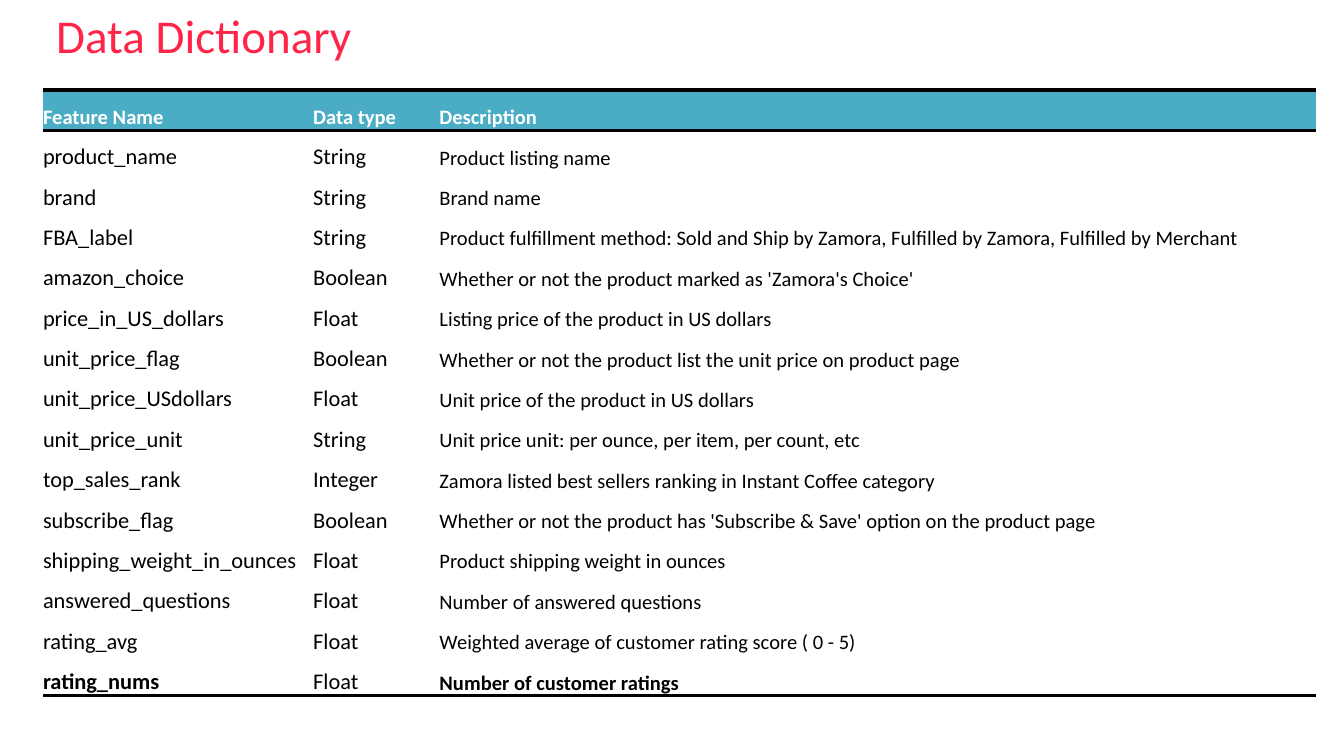
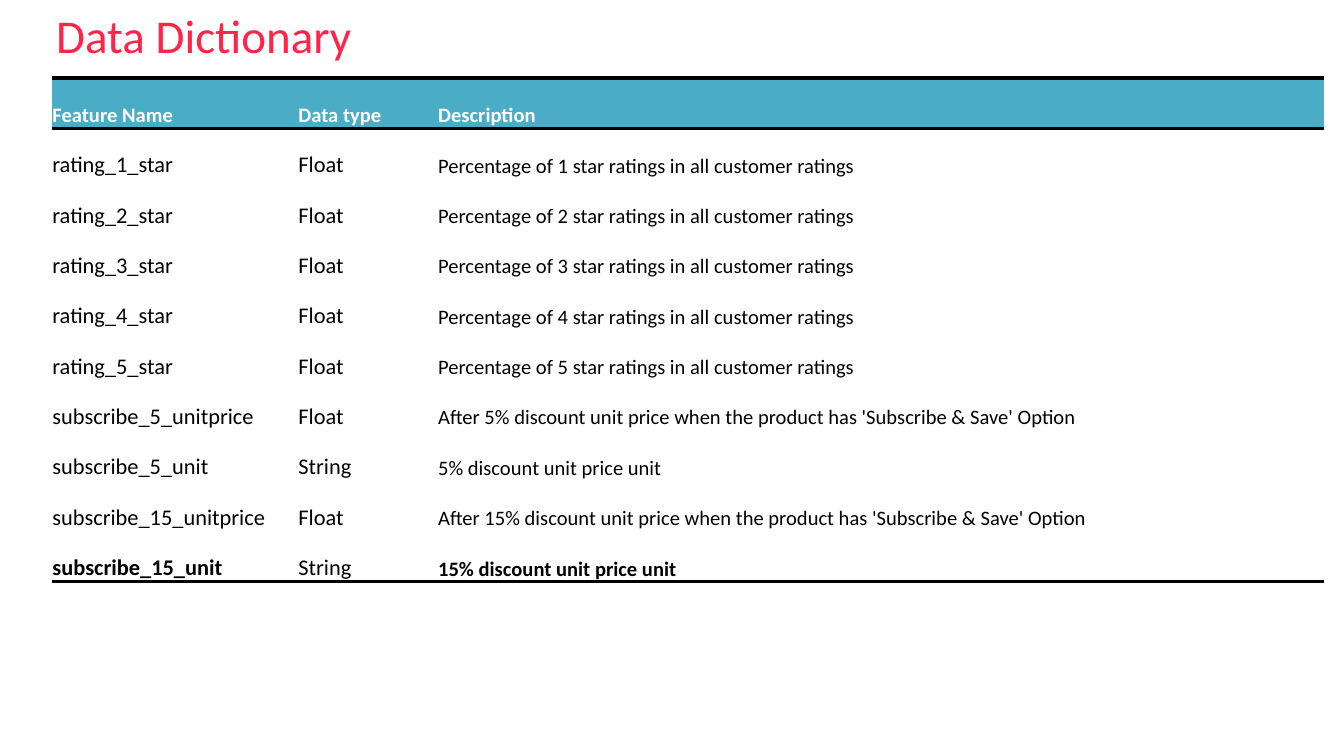
from dataclasses import dataclass

from lxml import etree
from pptx import Presentation
from pptx.dml.color import RGBColor
from pptx.enum import text as te
from pptx.oxml import ns
from pptx.util import Inches, Pt

TITLE_RED = RGBColor(0xFF, 0x25, 0x49)
HEADER_TEAL = RGBColor(0x4B, 0xAC, 0xC6)
WHITE = RGBColor(0xFF, 0xFF, 0xFF)
BLACK = RGBColor(0, 0, 0)
FONT = "Calibri"
PLAIN_STYLE = "{2D5ABB26-0587-4C30-8999-92F81FD0307C}"  # no style, no grid
HEADINGS = ("Feature Name", "Data type", "Description")
BODY_SIZES = (12, 12, 11)


@dataclass(frozen=True)
class Dictionary:
    left: float
    top: float
    height: float
    widths: tuple[float, ...]
    features: list[tuple[str, str, str]]


PRODUCT_FEATURES = [
    ("product_name", "String", "Product listing name"),
    ("brand", "String", "Brand name"),
    ("FBA_label", "String",
     "Product fulfillment method: Sold and Ship by Zamora, Fulfilled by Zamora, Fulfilled by Merchant"),
    ("amazon_choice", "Boolean", "Whether or not the product marked as 'Zamora's Choice'"),
    ("price_in_US_dollars", "Float", "Listing price of the product in US dollars"),
    ("unit_price_flag", "Boolean", "Whether or not the product list the unit price on product page"),
    ("unit_price_USdollars", "Float", "Unit price of the product in US dollars"),
    ("unit_price_unit", "String", "Unit price unit: per ounce, per item, per count, etc"),
    ("top_sales_rank", "Integer", "Zamora listed best sellers ranking in Instant Coffee category"),
    ("subscribe_flag", "Boolean",
     "Whether or not the product has 'Subscribe & Save' option on the product page"),
    ("shipping_weight_in_ounces", "Float", "Product shipping weight in ounces"),
    ("answered_questions", "Float", "Number of answered questions"),
    ("rating_avg", "Float", "Weighted average of customer rating score ( 0 - 5)"),
    ("rating_nums", "Float", "Number of customer ratings"),
]

STAR_FEATURES = [
    (f"rating_{stars}_star", "Float", f"Percentage of {stars} star ratings in all customer ratings")
    for stars in range(1, 6)
]
DISCOUNT_FEATURES = [
    feature
    for percent in (5, 15)
    for feature in (
        (f"subscribe_{percent}_unitprice", "Float",
         f"After {percent}% discount unit price when the product has 'Subscribe & Save' Option"),
        (f"subscribe_{percent}_unit", "String", f"{percent}% discount unit price unit"),
    )
]

DICTIONARIES = [
    Dictionary(0.32, 0.67, 4.51, (2.01, 0.94, 6.52), PRODUCT_FEATURES),
    Dictionary(0.39, 0.58, 3.75, (1.83, 1.04, 6.59), STAR_FEATURES + DISCOUNT_FEATURES),
]


def write(frame, content: str, *, size: float, color: RGBColor, bold: bool = False) -> None:
    run = frame.paragraphs[0].add_run()
    run.text = content
    run.font.name = FONT
    run.font.size = Pt(size)
    run.font.bold = bold
    run.font.color.rgb = color


def add_rule(cell, side: str) -> None:
    """Draw a 2 pt black border on one side: 'T' or 'B'."""
    line = etree.SubElement(cell._tc.get_or_add_tcPr(), ns.qn(f"a:ln{side}"), w=str(Pt(2)))
    fill = etree.SubElement(line, ns.qn("a:solidFill"))
    etree.SubElement(fill, ns.qn("a:srgbClr"), val=str(BLACK))


def add_title(slide) -> None:
    title = slide.shapes.add_textbox(Inches(0.32), Inches(0), Inches(9.02), Inches(0.51))
    title.text_frame.word_wrap = True
    title.text_frame.vertical_anchor = te.MSO_ANCHOR.MIDDLE
    write(title.text_frame, "Data Dictionary", size=25.2, color=TITLE_RED)


def add_dictionary(slide, dictionary: Dictionary) -> None:
    rows = [HEADINGS, *dictionary.features]
    table = slide.shapes.add_table(
        len(rows), len(HEADINGS), Inches(dictionary.left), Inches(dictionary.top),
        Inches(sum(dictionary.widths)), Inches(dictionary.height)).table
    table._tbl.tblPr.find(ns.qn("a:tableStyleId")).text = PLAIN_STYLE
    table.horz_banding = False
    for column, width in zip(table.columns, dictionary.widths):
        column.width = Inches(width)

    last = len(rows) - 1
    for r, row in enumerate(rows):
        table.rows[r].height = Inches(dictionary.height / len(rows))
        header = r == 0
        for c, content in enumerate(row):
            cell = table.cell(r, c)
            cell.margin_left = cell.margin_right = cell.margin_top = cell.margin_bottom = 0
            cell.vertical_anchor = te.MSO_ANCHOR.BOTTOM
            # Rules frame the header and close the last row
            if header:
                add_rule(cell, "T")
            if r in (0, last):
                add_rule(cell, "B")
            cell.fill.solid()
            cell.fill.fore_color.rgb = HEADER_TEAL if header else WHITE
            write(cell.text_frame, content,
                  size=11 if header else BODY_SIZES[c],
                  color=WHITE if header else BLACK,
                  bold=header or (r == last and c != 1))


def main() -> None:
    deck = Presentation()
    # Widescreen, 16:9
    deck.slide_width = Inches(10)
    deck.slide_height = Inches(10 * 9 / 16)
    for dictionary in DICTIONARIES:
        slide = deck.slides.add_slide(deck.slide_layouts[6])
        add_title(slide)
        add_dictionary(slide, dictionary)
    deck.save("out.pptx")


if __name__ == "__main__":
    main()
